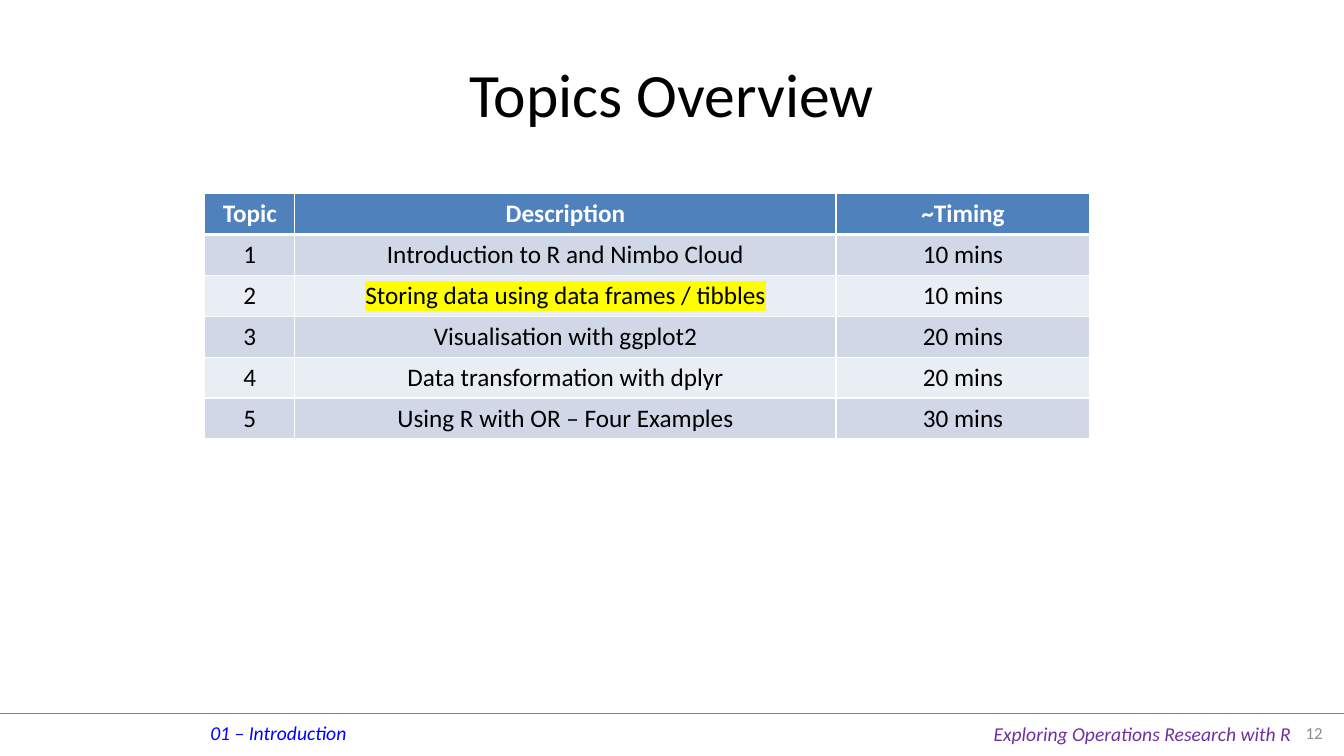
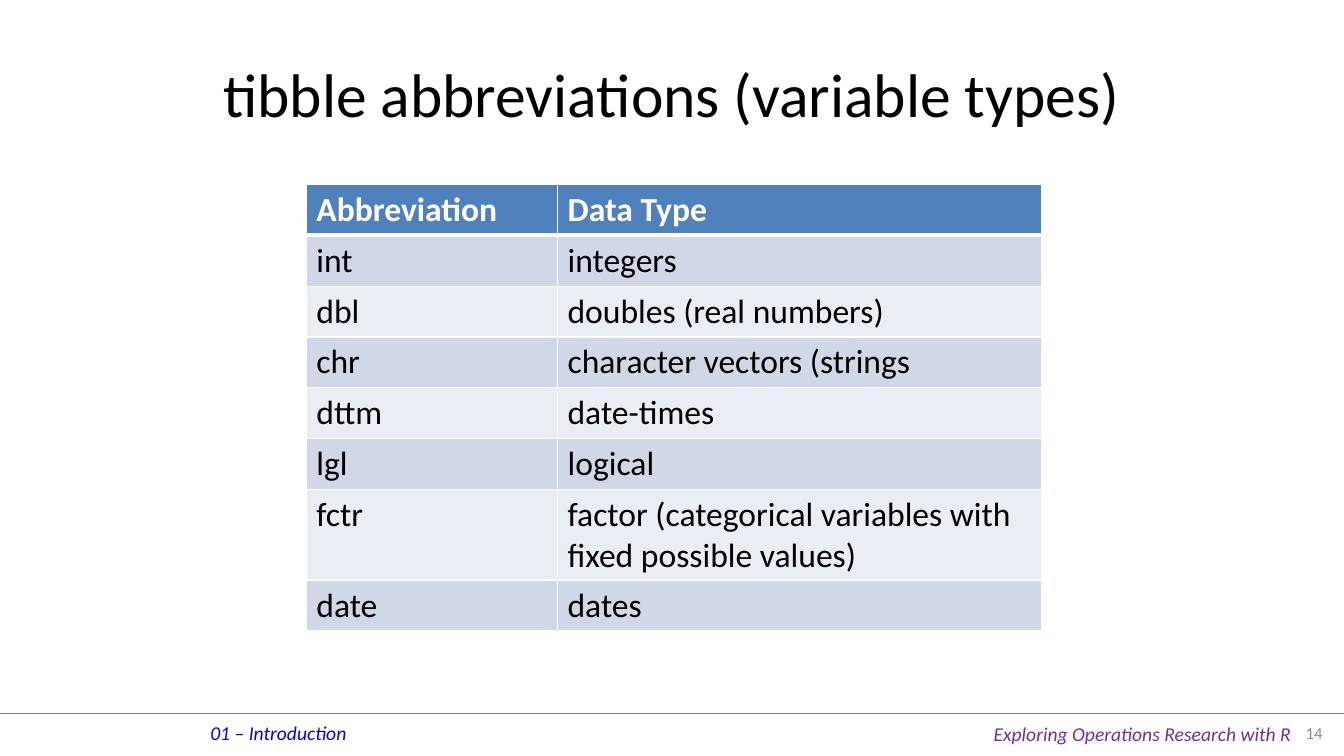
from dataclasses import dataclass
from typing import Any

from lxml import etree
from pptx import Presentation
from pptx import util as u
from pptx.dml import color as col
from pptx.enum import shapes, text
from pptx.oxml import ns

Cm, Pt = u.Cm, u.Pt
LEFT, MID, RIGHT = text.PP_ALIGN.LEFT, text.PP_ALIGN.CENTER, text.PP_ALIGN.RIGHT


@dataclass(frozen=True)
class Theme:
    font: str = "Calibri"
    ink: str = "000000"
    white: str = "FFFFFF"
    head: str = "4F81BD"
    bands: tuple[str, str] = ("D0D8E8", "E9EDF4")
    mark: str = "FFFF00"
    rule: str = "808080"
    blue: str = "0000FF"
    plum: str = "7030A0"
    grey: str = "8C8C8C"
    title: int = 44
    foot: int = 14
    page: int = 12


@dataclass(frozen=True)
class Note:
    """A line of footer text; box is left, top, width, height in cm."""
    words: str
    box: tuple[float, float, float, float]
    size: int
    hue: str
    italic: bool = True
    wrap: bool = False
    align: Any = LEFT
    anchor: Any = text.MSO_ANCHOR.TOP


@dataclass(frozen=True)
class Grid:
    """A table; all lengths in cm."""
    left: float
    top: float
    cols: tuple[float, ...]
    row: float
    size: int
    align: Any
    rows: tuple[tuple[str, ...], ...]
    marked: str = ""


@dataclass(frozen=True)
class Page:
    title: str
    number: int
    grid: Grid


T = Theme()
WIDE, HIGH, RULE = 33.87, 19.05, 17.96

NOTES = (
    Note("01 – Introduction", (5.05, 18.03, 3.99, 0.86), T.foot, T.blue),
    Note("Exploring Operations Research with R", (24.79, 18.06, 8.08, 0.86),
         T.foot, T.plum),
)

PAGES = (
    Page("Topics Overview", 12, Grid(
        5.16, 4.88, (2.27, 13.64, 6.4), 1.03, 18, MID, (
            ("Topic", "Description", "~Timing"),
            ("1", "Introduction to R and Nimbo Cloud", "10 mins"),
            ("2", "Storing data using data frames / tibbles", "10 mins"),
            ("3", "Visualisation with ggplot2", "20 mins"),
            ("4", "Data transformation with dplyr", "20 mins"),
            ("5", "Using R with OR – Four Examples", "30 mins"),
        ), "Storing data using data frames / tibbles")),
    Page("tibble abbreviations (variable types)", 14, Grid(
        7.72, 4.65, (6.33, 12.2), 1.28, 24, LEFT, (
            ("Abbreviation", "Data Type"),
            ("int", "integers"),
            ("dbl", "doubles (real numbers)"),
            ("chr", "character vectors (strings"),
            ("dttm", "date-times"),
            ("lgl", "logical"),
            ("fctr", "factor (categorical variables with fixed possible values)"),
            ("date", "dates"),
        ))),
)


def rgb(hue: str) -> col.RGBColor:
    return col.RGBColor.from_string(hue)


def put(item: Any, form: dict[str, Any]) -> None:
    for name, value in form.items():
        setattr(item, name, value)


def write(frame: Any, words: str, size: int, hue: str, align: Any, **form: Any) -> Any:
    """Fill a text frame with one formatted run and return the run."""
    para = frame.paragraphs[0]
    para.alignment = align
    run = para.add_run()
    run.text = words
    put(run.font, {"name": T.font, "size": Pt(size), **form})
    run.font.color.rgb = rgb(hue)
    return run


def add(parent: Any, tag: str, **attrs: str) -> Any:
    return etree.SubElement(parent, ns.qn(tag), attrs)


# Footer
def note(slide: Any, item: Note) -> None:
    frame = slide.shapes.add_textbox(*map(Cm, item.box)).text_frame
    put(frame, {"word_wrap": item.wrap, "vertical_anchor": item.anchor})
    write(frame, item.words, item.size, item.hue, item.align, italic=item.italic)


def footer(slide: Any, number: int) -> None:
    line = slide.shapes.add_connector(
        shapes.MSO_CONNECTOR.STRAIGHT, 0, Cm(RULE), Cm(WIDE), Cm(RULE))
    line.line.color.rgb = rgb(T.rule)
    line.line.width = Pt(0.25)
    add(line._element.spPr, "a:effectLst")
    page = Note(str(number), (32.18, RULE, 1.4, 0.99), T.page, T.grey,
                False, True, RIGHT, text.MSO_ANCHOR.MIDDLE)
    for item in (*NOTES, page):
        note(slide, item)


# Title
def title(slide: Any, words: str) -> None:
    shape = slide.shapes.title
    put(shape, {"left": Cm(1.69), "top": Cm(0.76),
                "width": Cm(30.48), "height": Cm(3.18)})
    put(shape.text_frame, {"word_wrap": True,
                           "vertical_anchor": text.MSO_ANCHOR.MIDDLE})
    write(shape.text_frame, words, T.title, T.ink, MID)


# Table
def border(cell: Any, row: int) -> None:
    """Draw white cell edges, thicker where header and body meet."""
    heavy = {0: "lnB", 1: "lnT"}.get(row)
    props = cell._tc.get_or_add_tcPr()
    for side in ("lnL", "lnR", "lnT", "lnB"):
        edge = add(props, f"a:{side}", w=str(Pt(3 if side == heavy else 1)))
        add(add(edge, "a:solidFill"), "a:srgbClr", val=T.white)


def mark(run: Any) -> None:
    glow = etree.Element(ns.qn("a:highlight"))
    add(glow, "a:srgbClr", val=T.mark)
    run.font._element.find(ns.qn("a:solidFill")).addnext(glow)


def table(slide: Any, grid: Grid) -> None:
    count = len(grid.rows)
    tab = slide.shapes.add_table(
        count, len(grid.cols), Cm(grid.left), Cm(grid.top),
        Cm(sum(grid.cols)), Cm(grid.row * count)).table
    for column, width in zip(tab.columns, grid.cols):
        column.width = Cm(width)
    for r, words in enumerate(grid.rows):
        tab.rows[r].height = Cm(grid.row)
        head = r == 0
        for c, word in enumerate(words):
            cell = tab.cell(r, c)
            border(cell, r)
            cell.fill.solid()
            cell.fill.fore_color.rgb = rgb(T.head if head else T.bands[(r - 1) % 2])
            run = write(cell.text_frame, word, grid.size,
                        T.white if head else T.ink, grid.align, bold=head)
            if word == grid.marked:
                mark(run)


def main() -> None:
    deck = Presentation()
    put(deck, {"slide_width": Cm(WIDE), "slide_height": Cm(HIGH)})
    for page in PAGES:
        slide = deck.slides.add_slide(deck.slide_layouts.get_by_name("Title Only"))
        footer(slide, page.number)
        title(slide, page.title)
        table(slide, page.grid)
    deck.save("out.pptx")


if __name__ == "__main__":
    main()
